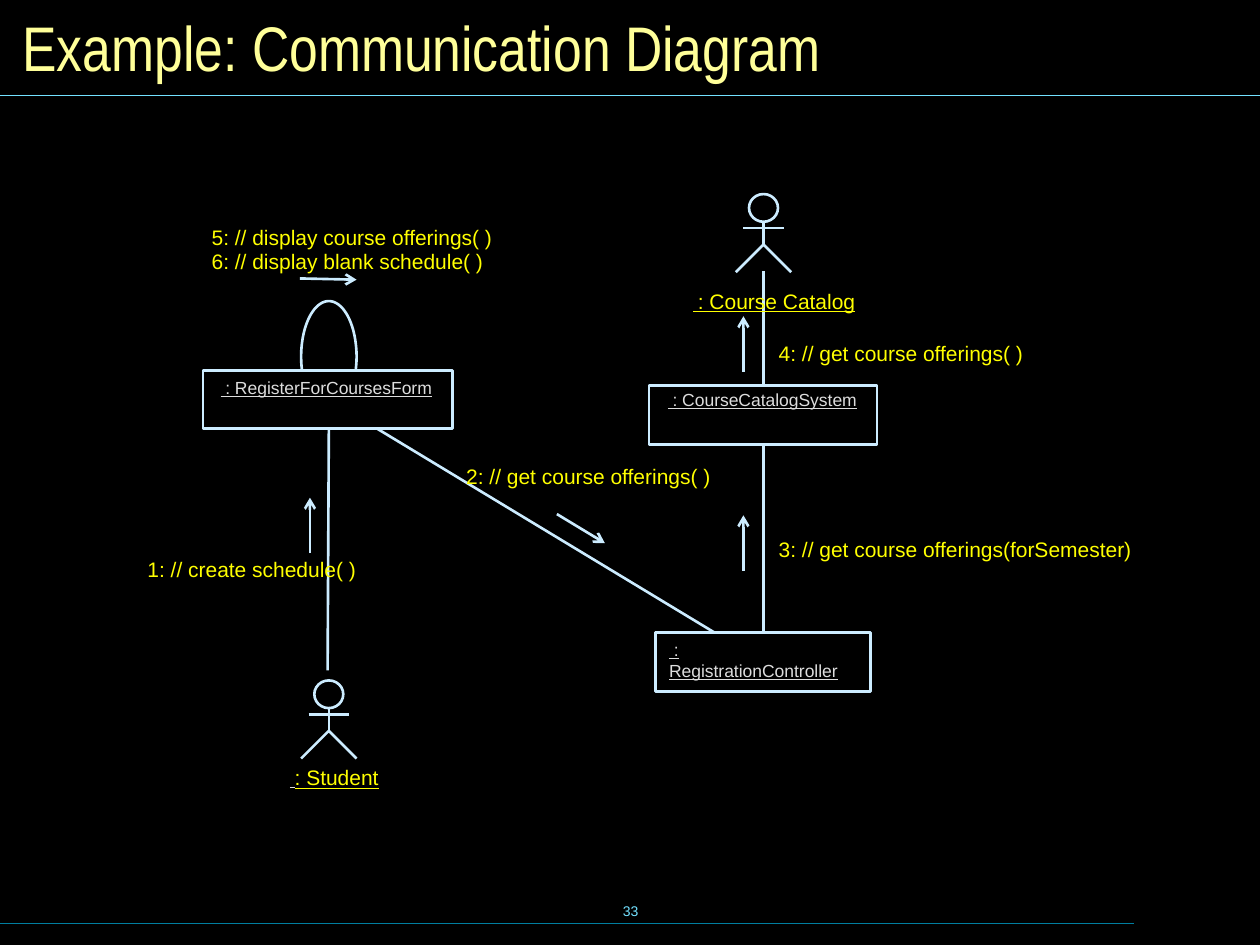
from dataclasses import dataclass
from math import cos, radians, sin

from lxml.etree import SubElement
from pptx import Presentation
from pptx.dml.color import RGBColor
from pptx.enum.shapes import MSO_CONNECTOR, MSO_SHAPE
from pptx.enum.text import MSO_ANCHOR, MSO_AUTO_SIZE, PP_ALIGN
from pptx.oxml.ns import qn
from pptx.util import Inches, Pt


@dataclass(frozen=True)
class Theme:
    background: str = "000000"
    title: str = "FFFF99"
    rule: str = "73E1FF"
    footer_rule: str = "007E9F"
    outline: str = "CCECFF"
    label: str = "FFFF00"
    name: str = "DDDDDD"
    font: str = "Arial"
    title_font: str = "Arial Narrow"
    title_size: int = 36
    label_size: int = 12
    name_size: int = 10
    number_size: int = 8
    stroke: float = 1.5
    rule_stroke: float = 0.75


class Diagram:
    """Draws communication diagram elements on one slide."""

    def __init__(self, slide, theme):
        self.s = slide
        self.theme = theme
        fill = slide.background.fill
        fill.solid()
        fill.fore_color.rgb = RGBColor.from_string(theme.background)

    def text(self, x, y, w, h, runs, inset=(0, 0), frame=None, align=PP_ALIGN.LEFT):
        sp = self.s.shapes.add_textbox(Inches(x), Inches(y), Inches(w), Inches(h))
        tf = sp.text_frame
        side, edge = map(Inches, inset)
        settings = {"margin_left": side, "margin_right": side,
                    "margin_top": edge, "margin_bottom": edge,
                    "word_wrap": False, "auto_size": MSO_AUTO_SIZE.SHAPE_TO_FIT_TEXT}
        for key, value in (settings | (frame or {})).items():
            setattr(tf, key, value)
        p = tf.paragraphs[0]
        p.alignment = align
        for words, size, color, extra in runs:
            r = p.add_run()
            r.text = words
            r.font.color.rgb = RGBColor.from_string(color)
            for key, value in ({"name": self.theme.font, "size": Pt(size)} | extra).items():
                setattr(r.font, key, value)

    def framed(self, x, y, w, h, words, size, color, font, wrap, align):
        frame = {"word_wrap": wrap, "auto_size": MSO_AUTO_SIZE.NONE,
                 "vertical_anchor": MSO_ANCHOR.MIDDLE}
        self.text(x, y, w, h, [(words, size, color, {"name": font})],
                  (0.1, 0.05), frame, align)

    def message(self, x, y, w, words):
        t = self.theme
        self.text(x, y, w, 0.2, [(words, t.label_size, t.label, {})])

    def actor_name(self, x, y, w, words, lead_color):
        t = self.theme
        under = {"underline": True}
        self.text(x, y, w, 0.2, [(" ", t.name_size, lead_color, under),
                                 (words, t.label_size, t.label, under)])

    def stroke(self, sp, color=None, width=None):
        sp.line.color.rgb = RGBColor.from_string(color or self.theme.outline)
        sp.line.width = Pt(width or self.theme.stroke)

    def line(self, start, end, color=None, width=None, arrow=False, shapes=None):
        ends = [Inches(v) for v in (*start, *end)]
        sp = (shapes or self.s.shapes).add_connector(MSO_CONNECTOR.STRAIGHT, *ends)
        self.stroke(sp, color, width)
        if arrow:
            SubElement(sp.line._get_or_add_ln(), qn("a:tailEnd"), type="arrow")
        SubElement(sp._element.spPr, qn("a:effectLst"))

    def outline(self, kind, x, y, w, h, shapes=None):
        sp = (shapes or self.s.shapes).add_shape(
            kind, Inches(x), Inches(y), Inches(w), Inches(h))
        sp.shadow.inherit = False
        sp.fill.background()
        self.stroke(sp)

    def curve(self, points, shapes=None):
        start, *rest = [(Inches(x), Inches(y)) for x, y in points]
        fb = (shapes or self.s.shapes).build_freeform(*start)
        fb.add_line_segments(rest, close=False)
        sp = fb.convert_to_shape()
        sp.shadow.inherit = False
        sp.fill.background()
        self.stroke(sp)

    def self_link(self, x, y, rx, ry):
        angles = (radians(a) for a in range(-14, 195, 4))
        self.curve([(x - rx * cos(a), y - ry * sin(a)) for a in angles])

    def lifeline(self, x, y, w, h, words, text_x, text_y, text_w):
        t = self.theme
        self.outline(MSO_SHAPE.RECTANGLE, x, y, w, h)
        self.text(text_x, text_y, text_w, 0.17,
                  [(words, t.name_size, t.name, {"underline": True})])

    def actor(self, x, y):
        shapes = self.s.shapes.add_group_shape().shapes
        self.outline(MSO_SHAPE.OVAL, x - 0.115, y, 0.23, 0.22, shapes)
        self.line((x, y + 0.22), (x, y + 0.4), shapes=shapes)
        self.line((x - 0.16, y + 0.27), (x + 0.16, y + 0.27), shapes=shapes)
        self.curve([(x - 0.22, y + 0.62), (x, y + 0.4), (x + 0.22, y + 0.62)], shapes)


def main():
    prs = Presentation()
    prs.slide_width, prs.slide_height = Inches(10), Inches(7.5)
    theme = Theme()
    d = Diagram(prs.slides.add_slide(prs.slide_layouts[6]), theme)

    d.framed(3.42, 6.98, 3.17, 0.5, "33", theme.number_size, theme.rule,
             theme.font, False, PP_ALIGN.CENTER)
    d.line((0, 7.33), (9, 7.33), theme.footer_rule, theme.rule_stroke)
    d.line((0, 0.76), (10, 0.76), theme.rule, theme.rule_stroke)
    d.framed(0.08, 0.08, 9.84, 0.58, "Example: Communication Diagram",
             theme.title_size, theme.title, theme.title_font, True, PP_ALIGN.LEFT)

    for lifeline in (
        (1.61, 2.94, 1.98, 0.46, " : RegisterForCoursesForm", 1.75, 2.99, 1.68),
        (5.2, 5.02, 1.71, 0.47, " : RegistrationController", 5.31, 5.07, 1.45),
        (5.15, 3.06, 1.81, 0.47, " : CourseCatalogSystem", 5.3, 3.09, 1.5),
    ):
        d.lifeline(*lifeline)
    d.self_link(2.61, 2.83, 0.22, 0.44)

    for start, end in (
        ((2.6, 5.32), (2.61, 3.4)),
        ((2.99, 3.4), (5.67, 5.02)),
        ((6.06, 5.02), (6.06, 3.53)),
        ((6.06, 3.06), (6.06, 2.15)),
    ):
        d.line(start, end)

    for start, end in (
        ((2.38, 2.21), (2.83, 2.22)),
        ((2.46, 4.39), (2.46, 3.95)),
        ((4.42, 4.08), (4.8, 4.31)),
        ((5.9, 4.53), (5.9, 4.09)),
        ((5.9, 2.95), (5.9, 2.51)),
    ):
        d.line(start, end, arrow=True)

    for message in (
        (1.17, 4.42, 1.66, "1: // create schedule( )"),
        (3.7, 3.68, 1.95, "2: // get course offerings( )"),
        (6.18, 4.26, 2.81, "3: // get course offerings(forSemester)"),
        (6.18, 2.7, 1.95, "4: // get course offerings( )"),
        (1.68, 1.78, 2.23, "5: // display course offerings( )"),
        (1.68, 1.97, 2.16, "6: // display blank schedule( )"),
    ):
        d.message(*message)

    d.actor(6.06, 1.54)
    d.actor(2.61, 5.4)
    d.actor_name(5.5, 2.29, 1.29, ": Course Catalog", theme.label)
    d.actor_name(2.3, 6.07, 0.71, ": Student", theme.name)
    prs.save("out.pptx")


if __name__ == "__main__":
    main()
